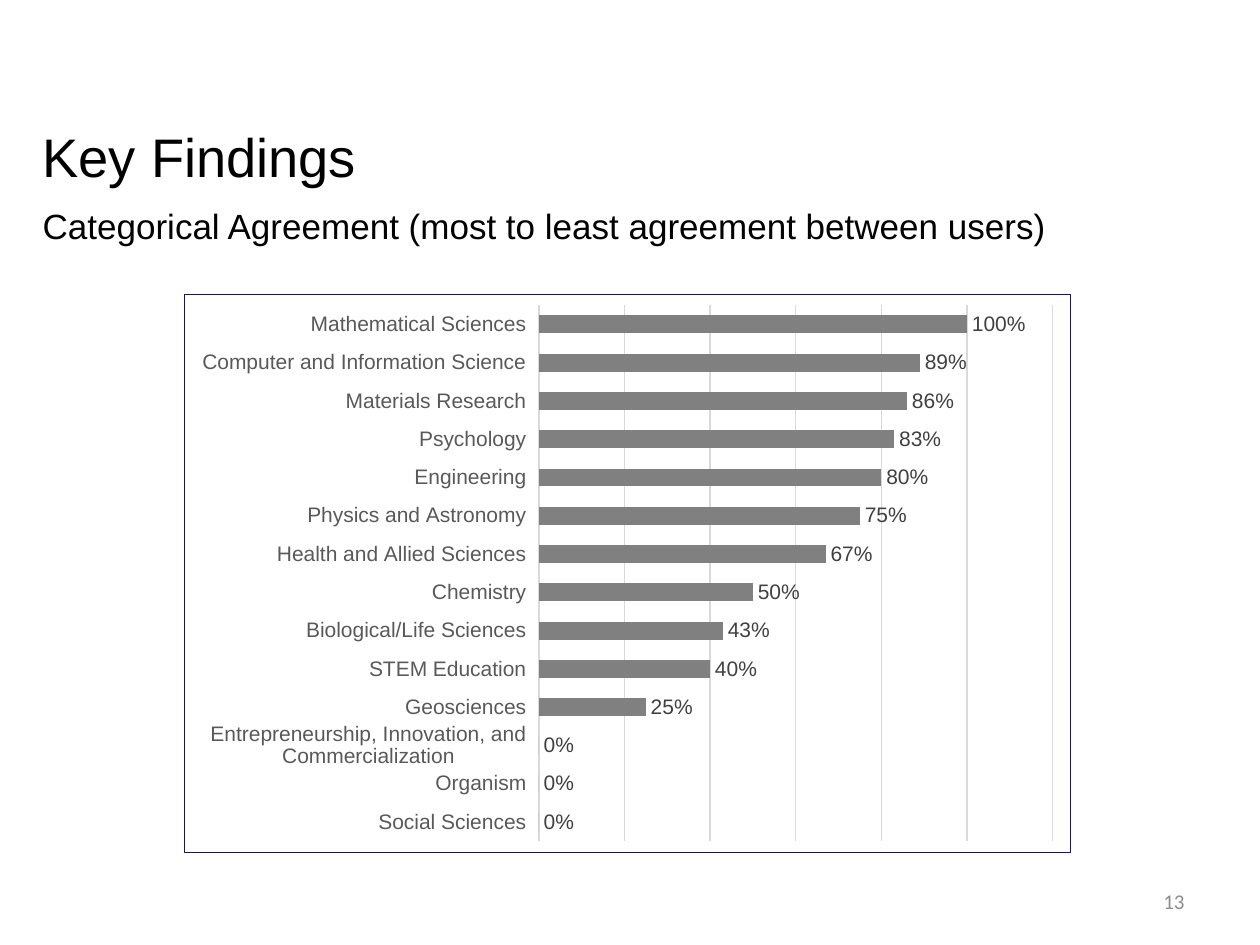
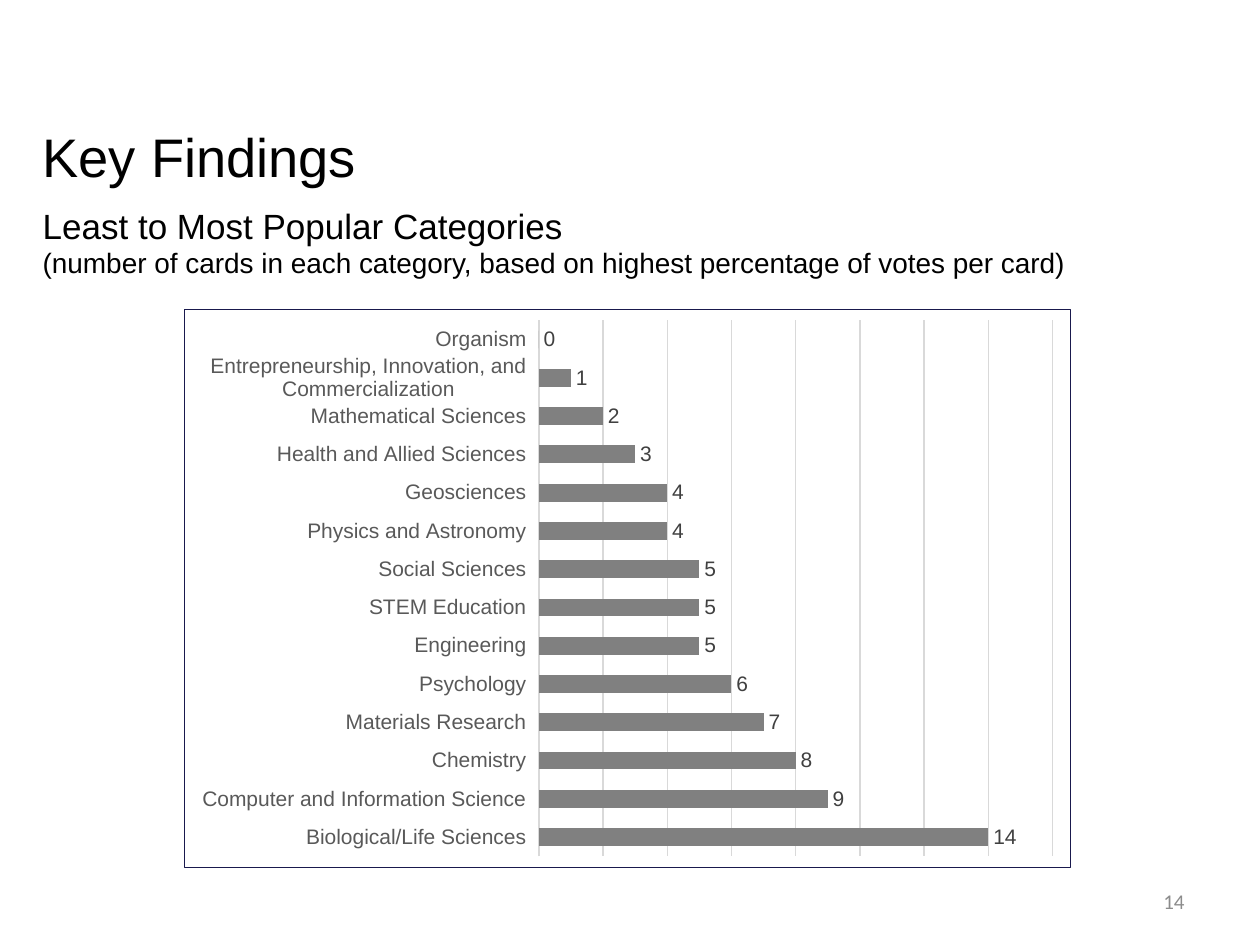
from lxml import etree
from pptx import Presentation
from pptx.chart.data import CategoryChartData
from pptx.dml.color import RGBColor
from pptx.enum.chart import XL_CHART_TYPE, XL_LABEL_POSITION, XL_TICK_LABEL_POSITION, XL_TICK_MARK
from pptx.enum.text import MSO_ANCHOR, PP_ALIGN
from pptx.oxml import parse_xml
from pptx.oxml.ns import nsdecls
from pptx.util import Inches, Pt

BAR_CLUSTERED = XL_CHART_TYPE.BAR_CLUSTERED
OUTSIDE_END = XL_LABEL_POSITION.OUTSIDE_END
LOW_LABELS = XL_TICK_LABEL_POSITION.LOW
NO_TICKS = XL_TICK_MARK.NONE
TOP, MIDDLE = MSO_ANCHOR.TOP, MSO_ANCHOR.MIDDLE
LEFT, RIGHT = PP_ALIGN.LEFT, PP_ALIGN.RIGHT

COLORS = {
    "background": "FFFFFF",
    "text": "000000",
    "page_number": "8C8C8C",
    "bar": "808080",
    "category": "595959",
    "value": "404040",
    "grid": "D9D9D9",
    "border": "19194D",
}
FONT = "Arial"
NUMBER_FONT = "Calibri"

TITLE_BOX = (0.24, 0.94, 9.01, 0.69)
SUBTITLE_BOX = (0.24, 1.57, 9.01, 0.74)
NUMBER_BOX = (7.17, 6.95, 2.33, 0.4)

AGREEMENT = {
    "Social Sciences": 0,
    "Organism": 0,
    "Entrepreneurship, Innovation, and Commercialization": 0,
    "Geosciences": 0.25,
    "STEM Education": 0.4,
    "Biological/Life Sciences": 0.43,
    "Chemistry": 0.5,
    "Health and Allied Sciences": 0.67,
    "Physics and Astronomy": 0.75,
    "Engineering": 0.8,
    "Psychology": 0.83,
    "Materials Research": 0.86,
    "Computer and Information Science": 0.89,
    "Mathematical Sciences": 1,
}
POPULARITY = {
    "Organism": 0,
    "Entrepreneurship, Innovation, and Commercialization": 1,
    "Mathematical Sciences": 2,
    "Health and Allied Sciences": 3,
    "Geosciences": 4,
    "Physics and Astronomy": 4,
    "Social Sciences": 5,
    "STEM Education": 5,
    "Engineering": 5,
    "Psychology": 6,
    "Materials Research": 7,
    "Chemistry": 8,
    "Computer and Information Science": 9,
    "Biological/Life Sciences": 14,
}


def color(name):
    return RGBColor.from_string(COLORS[name])


def style_font(font, size, color_name, name=FONT):
    font.size = Pt(size)
    font.name = name
    font.color.rgb = color(color_name)


def add_text(page, box, lines, color_name="text", font_name=FONT,
             align=LEFT, anchor=TOP, top_inset=0.05):
    """Add a text box; lines is a list of (text, size) paragraphs."""
    frame = page.shapes.add_textbox(*map(Inches, box)).text_frame
    frame.word_wrap = True
    frame.vertical_anchor = anchor
    frame.margin_top = Inches(top_inset)
    for index, (text, size) in enumerate(lines):
        para = frame.add_paragraph() if index else frame.paragraphs[0]
        para.text = text
        para.alignment = align
        style_font(para.font, size, color_name, font_name)


def add_border(chart, width):
    """Give the whole chart area an outline and no fill."""
    area = parse_xml(f"<c:spPr {nsdecls('c', 'a')}><a:noFill/></c:spPr>")
    drawing = area.nsmap["a"]
    line = etree.SubElement(area, f"{{{drawing}}}ln", w=str(Pt(width)))
    fill = etree.SubElement(line, f"{{{drawing}}}solidFill")
    etree.SubElement(fill, f"{{{drawing}}}srgbClr", val=COLORS["border"])
    chart.element.find(f"{{{area.nsmap['c']}}}chart").addnext(area)


def add_bar_chart(page, box, scores, number_format, axis_max, step, reverse):
    data = CategoryChartData(number_format=number_format)
    data.categories = list(scores)
    data.add_series("Series 1", list(scores.values()))
    chart = page.shapes.add_chart(BAR_CLUSTERED, *map(Inches, box), data).chart
    chart.has_title = False
    chart.has_legend = False
    style_font(chart.font, 10, "text")
    add_border(chart, 0.75)

    categories = chart.category_axis
    categories.reverse_order = reverse
    categories.has_major_gridlines = False
    categories.major_tick_mark = categories.minor_tick_mark = NO_TICKS
    categories.tick_label_position = LOW_LABELS
    categories.format.line.color.rgb = color("grid")
    categories.format.line.width = Pt(1)
    style_font(categories.tick_labels.font, 12, "category")

    values = chart.value_axis
    values.minimum_scale, values.maximum_scale = 0, axis_max
    values.major_unit = step
    values.visible = False
    values.has_major_gridlines = True
    values.major_gridlines.format.line.color.rgb = color("grid")
    values.major_gridlines.format.line.width = Pt(0.75)
    values.tick_labels.number_format = number_format
    values.tick_labels.number_format_is_linked = False

    plot = chart.plots[0]
    plot.gap_width, plot.overlap = 115, -20
    plot.vary_by_categories = False
    bars = plot.series[0]
    bars.format.fill.solid()
    bars.format.fill.fore_color.rgb = color("bar")
    labels = bars.data_labels
    labels.show_value = True
    labels.position = OUTSIDE_END
    labels.number_format = number_format
    labels.number_format_is_linked = False
    style_font(labels.font, 12, "value")


def add_findings_page(deck, number, subtitle, chart_top, **chart_options):
    page = deck.slides.add_slide(deck.slide_layouts[6])
    page.background.fill.solid()
    page.background.fill.fore_color.rgb = color("background")
    add_text(page, NUMBER_BOX, [(str(number), 12)], "page_number",
             NUMBER_FONT, RIGHT, MIDDLE)
    add_text(page, SUBTITLE_BOX, subtitle)
    add_bar_chart(page, (1.46, chart_top, 7.04, 4.44), **chart_options)
    add_text(page, TITLE_BOX, [("Key Findings", 31)], top_inset=0.04)


def main():
    deck = Presentation()
    deck.slide_width, deck.slide_height = Inches(10), Inches(7.5)
    add_findings_page(
        deck, 13,
        [("Categorical Agreement (most to least agreement between users)", 20)],
        chart_top=2.33, scores=AGREEMENT, number_format="0%",
        axis_max=1.2, step=0.2, reverse=False)
    add_findings_page(
        deck, 14,
        [("Least to Most Popular Categories", 20),
         ("(number of cards in each category, based on highest percentage of votes per card)", 16)],
        chart_top=2.45, scores=POPULARITY, number_format="0",
        axis_max=16, step=2, reverse=True)
    deck.save("out.pptx")


if __name__ == "__main__":
    main()
